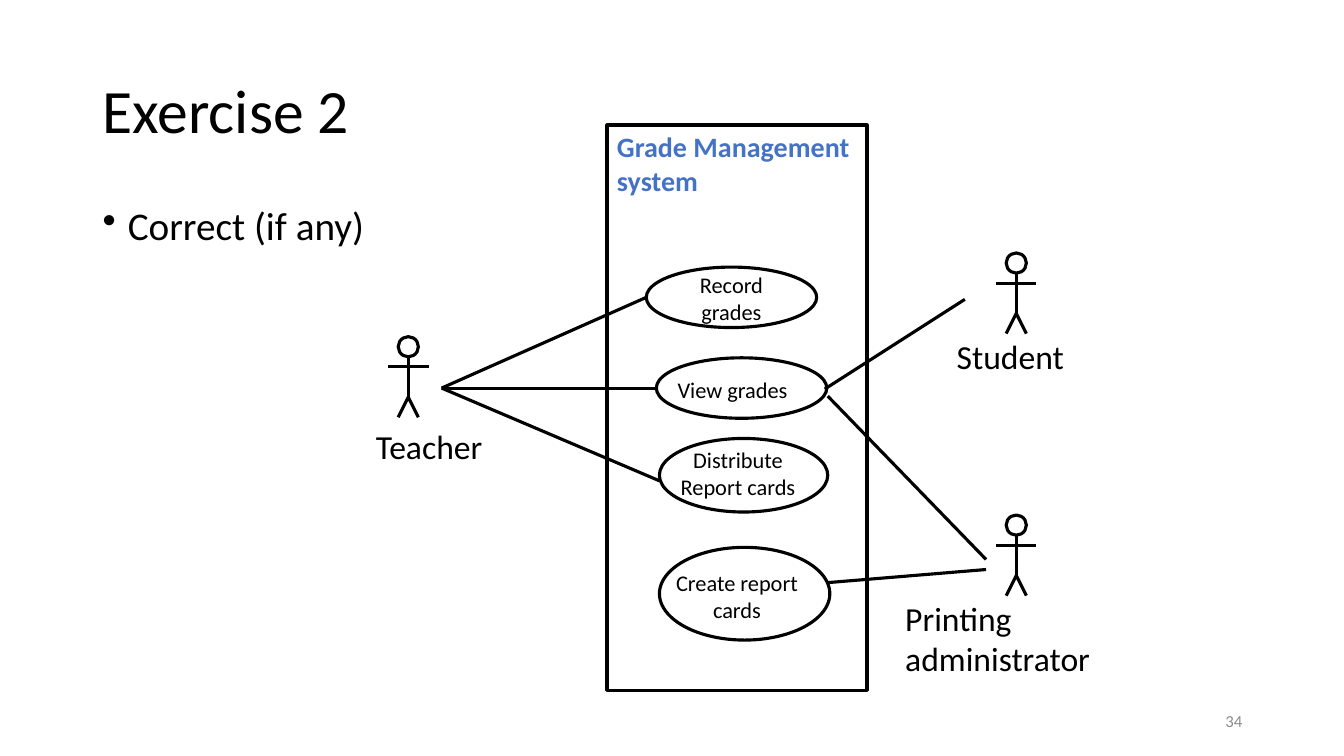
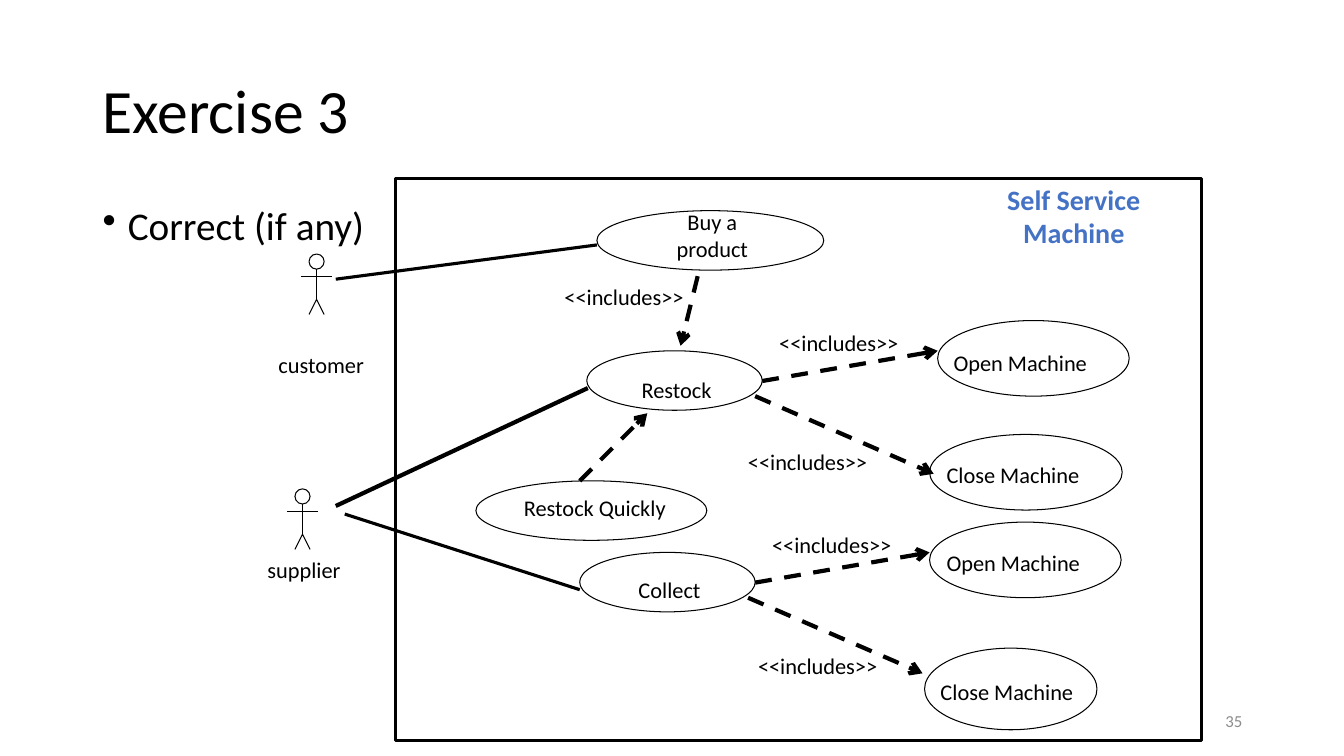
import lxml.etree
import pptx
import pptx.dml.color
import pptx.enum.dml
import pptx.enum.shapes
import pptx.enum.text
import pptx.oxml.ns
import pptx.util

Inches = pptx.util.Inches
ALIGN = pptx.enum.text.PP_ALIGN
ANCHOR = pptx.enum.text.MSO_ANCHOR
SHAPE = pptx.enum.shapes.MSO_SHAPE

FONT = "Calibri"
BLACK, WHITE, BLUE, GRAY = "000000", "FFFFFF", "4472C4", "8C8C8C"
TITLE_BOX = (0.92, 0.4, 11.5, 1.45)
BODY_BOX = (0.92, 2, 11.5, 4.76)
NUMBER_BOX = (9.42, 6.95, 3, 0.4)
INCLUDES = "<<includes>>"

# Boxes are (left, top, width, height); actors are (centre, top);
# lines are (from x, from y, to x, to y), with a width where it differs.
DIAGRAMS = [
    {
        "title": "Exercise 2",
        "body": "Correct (if any)",
        "number": "34",
        "system": (6.02, 1.24, 2.58, 5.61),
        "system_name": ("Grade Management\nsystem", (6.02, 1.24, 2.85, 0.77), ALIGN.LEFT),
        "outline": 2.25,
        "actor_unit": 0.2,
        "actors": [(4.05, 3.34), (10.08, 5.11), (10.08, 2.51)],
        "actor_size": 24,
        "actor_names": [
            ("Teacher", (3.63, 4.18, 1.26, 0.5), ALIGN.LEFT),
            ("Student", (9.39, 3.28, 1.26, 0.5), ALIGN.LEFT),
            ("Printing\nadministrator", (8.88, 5.88, 3.14, 0.9), ALIGN.LEFT),
        ],
        "use_cases": [
            (6.41, 2.65, 1.69, 0.6),
            (6.51, 3.55, 1.69, 0.6),
            (6.54, 4.35, 1.67, 0.73),
            (6.54, 5.43, 1.69, 0.92),
        ],
        "labels": [
            ("Record\ngrades", (6.81, 2.64, 0.89, 0.64), ALIGN.CENTER),
            ("View grades", (6.62, 3.68, 1.29, 0.37), ALIGN.CENTER),
            ("Distribute\nReport cards", (6.65, 4.38, 1.34, 0.64), ALIGN.CENTER),
            ("Create report\ncards", (6.46, 5.6, 1.7, 0.64), ALIGN.CENTER),
        ],
        "associations": [
            (4.38, 3.85, 6.41, 2.95, 2.25),
            (4.38, 3.85, 6.51, 3.85, 2.25),
            (4.38, 3.85, 6.54, 4.77, 2.25),
            (9.57, 2.97, 8.18, 3.86, 2.25),
            (9.78, 5.55, 8.21, 3.93, 2.25),
            (9.78, 5.65, 8.21, 5.78, 2.25),
        ],
        "dependencies": [],
    },
    {
        "title": "Exercise 3",
        "body": "Correct (if any)",
        "number": "35",
        "system": (3.92, 1.77, 8, 5.58),
        "system_name": ("Self Service\nMachine", (9.39, 1.76, 2.52, 0.77), ALIGN.CENTER),
        "outline": 0.75,
        "actor_unit": 0.15,
        "actors": [(3.14, 2.52), (3, 4.85)],
        "actor_size": 16,
        "actor_names": [
            ("customer", (2.66, 3.43, 1.05, 0.37), ALIGN.CENTER),
            ("supplier", (2.55, 5.47, 0.93, 0.37), ALIGN.CENTER),
        ],
        "use_cases": [
            (5.92, 2.09, 2.25, 0.59),
            (5.82, 3.48, 1.74, 0.59),
            (4.72, 4.77, 2.29, 0.59),
            (5.75, 5.48, 1.74, 0.59),
            (9.3, 3.18, 1.9, 0.75),
            (9.22, 4.31, 1.91, 0.75),
            (9.22, 5.18, 1.9, 0.75),
            (9.17, 6.43, 1.71, 0.81),
        ],
        "labels": [
            ("Buy a\nproduct", (6.37, 2.02, 1.39, 0.64), ALIGN.CENTER),
            ("Restock", (6.17, 3.68, 1.08, 0.37), ALIGN.CENTER),
            ("Restock Quickly", (4.88, 4.85, 2.04, 0.38), ALIGN.CENTER),
            ("Collect", (6.1, 5.67, 1.08, 0.37), ALIGN.CENTER),
            ("Open Machine", (9.36, 3.41, 1.97, 0.37), ALIGN.LEFT),
            ("Close Machine", (9.29, 4.53, 1.97, 0.37), ALIGN.LEFT),
            ("Open Machine", (9.29, 5.4, 1.97, 0.37), ALIGN.LEFT),
            ("Close Machine", (9.23, 6.68, 1.77, 0.37), ALIGN.LEFT),
            (INCLUDES, (5.5, 2.76, 1.5, 0.37), ALIGN.LEFT),
            (INCLUDES, (7.63, 3.22, 1.44, 0.37), ALIGN.LEFT),
            (INCLUDES, (7.32, 4.4, 1.5, 0.37), ALIGN.LEFT),
            (INCLUDES, (7.56, 5.22, 1.44, 0.37), ALIGN.LEFT),
            (INCLUDES, (7.42, 6.42, 1.44, 0.37), ALIGN.LEFT),
        ],
        "associations": [
            (3.33, 2.77, 5.92, 2.43, 2.25),
            (3.33, 5.02, 5.83, 3.85, 3),
            (3.42, 5.1, 5.75, 5.85, 2.25),
        ],
        "dependencies": [
            (6.92, 2.74, 6.75, 3.43),
            (5.75, 4.77, 6.42, 4.1),
            (7.56, 3.78, 9.3, 3.48),
            (7.49, 3.93, 9.26, 4.7),
            (7.49, 5.78, 9.22, 5.48),
            (7.42, 5.93, 9.15, 6.68),
        ],
    },
]


def color(value):
    return pptx.dml.color.RGBColor.from_string(value)


def add_xml(parent, tag, **attributes):
    return lxml.etree.SubElement(parent, pptx.oxml.ns.qn(tag), attributes)


def add_text(slide, text, box, size, align=ALIGN.LEFT, text_color=BLACK, bold=False,
             anchor=ANCHOR.TOP, line_spacing=None, bullet=False):
    shape = slide.shapes.add_textbox(*map(Inches, box))
    frame = shape.text_frame
    frame.word_wrap = True
    frame.vertical_anchor = anchor
    # Only the side the text is aligned to keeps an inset
    frame.margin_left = Inches(0.1 if align == ALIGN.LEFT else 0)
    frame.margin_right = Inches(0.1 if align == ALIGN.RIGHT else 0)
    frame.text = text
    for paragraph in frame.paragraphs:
        paragraph.alignment = align
        if line_spacing:
            paragraph.line_spacing = line_spacing
        if bullet:
            paragraph.space_before = pptx.util.Pt(10)
            properties = paragraph._p.get_or_add_pPr()
            properties.set("marL", str(Inches(0.25)))
            properties.set("indent", str(Inches(-0.25)))
            add_xml(properties, "a:buChar", char="•")
        paragraph.font.name = FONT
        paragraph.font.size = pptx.util.Pt(size)
        paragraph.font.bold = bold
        paragraph.font.color.rgb = color(text_color)


def style_outline(shape, width, fill=None):
    shape.shadow.inherit = False
    if fill:
        shape.fill.solid()
        shape.fill.fore_color.rgb = color(fill)
    else:
        shape.fill.background()
    shape.line.color.rgb = color(BLACK)
    shape.line.width = pptx.util.Pt(width)


def add_outline(shapes, kind, box, width, fill=None):
    style_outline(shapes.add_shape(kind, *map(Inches, box)), width, fill)


def add_line(shapes, points, width, dependency=False):
    connector = shapes.add_connector(
        pptx.enum.shapes.MSO_CONNECTOR.STRAIGHT, *map(Inches, points))
    connector.line.color.rgb = color(BLACK)
    connector.line.width = pptx.util.Pt(width)
    properties = connector._element.spPr
    if dependency:
        connector.line.dash_style = pptx.enum.dml.MSO_LINE.DASH
        add_xml(properties.find(pptx.oxml.ns.qn("a:ln")), "a:tailEnd", type="arrow")
    add_xml(properties, "a:effectLst")


def add_actor(slide, center, top, unit, width):
    """Stick figure four units high: head 1, body 2, legs 1."""
    shapes = slide.shapes.add_group_shape().shapes
    hip, foot, arm = top + 3 * unit, top + 4 * unit, top + 1.5 * unit
    add_outline(shapes, SHAPE.OVAL, (center - unit / 2, top, unit, unit), width)
    add_line(shapes, (center, top + unit, center, hip), width)
    add_line(shapes, (center - unit, arm, center + unit, arm), width)
    legs = shapes.build_freeform(Inches(center - unit / 2), Inches(foot))
    legs.add_line_segments(
        [(Inches(center), Inches(hip)), (Inches(center + unit / 2), Inches(foot))],
        close=False)
    style_outline(legs.convert_to_shape(), width)


def add_diagram(presentation, diagram):
    slide = presentation.slides.add_slide(presentation.slide_layouts[6])
    shapes = slide.shapes

    # Shared frame: title, body and slide number
    add_text(slide, diagram["title"], TITLE_BOX, 44, anchor=ANCHOR.MIDDLE, line_spacing=0.9)
    add_text(slide, diagram["body"], BODY_BOX, 28, line_spacing=0.9, bullet=True)
    add_text(slide, diagram["number"], NUMBER_BOX, 12, ALIGN.RIGHT, GRAY,
             anchor=ANCHOR.MIDDLE)

    # System boundary
    add_outline(shapes, SHAPE.RECTANGLE, diagram["system"], 2.25, WHITE)
    name, box, align = diagram["system_name"]
    add_text(slide, name, box, 20, align, BLUE, bold=True)

    # Actors and use cases
    for center, top in diagram["actors"]:
        add_actor(slide, center, top, diagram["actor_unit"], diagram["outline"])
    for box in diagram["use_cases"]:
        add_outline(shapes, SHAPE.OVAL, box, diagram["outline"])

    # Relations
    for *points, width in diagram["associations"]:
        add_line(shapes, points, width)
    for points in diagram["dependencies"]:
        add_line(shapes, points, 3, dependency=True)

    # Labels
    for text, box, align in diagram["actor_names"]:
        add_text(slide, text, box, diagram["actor_size"], align)
    for text, box, align in diagram["labels"]:
        add_text(slide, text, box, 16, align)


def main():
    presentation = pptx.Presentation()
    presentation.slide_width = Inches(13.33)
    presentation.slide_height = Inches(7.5)
    for diagram in DIAGRAMS:
        add_diagram(presentation, diagram)
    presentation.save("out.pptx")


if __name__ == "__main__":
    main()
